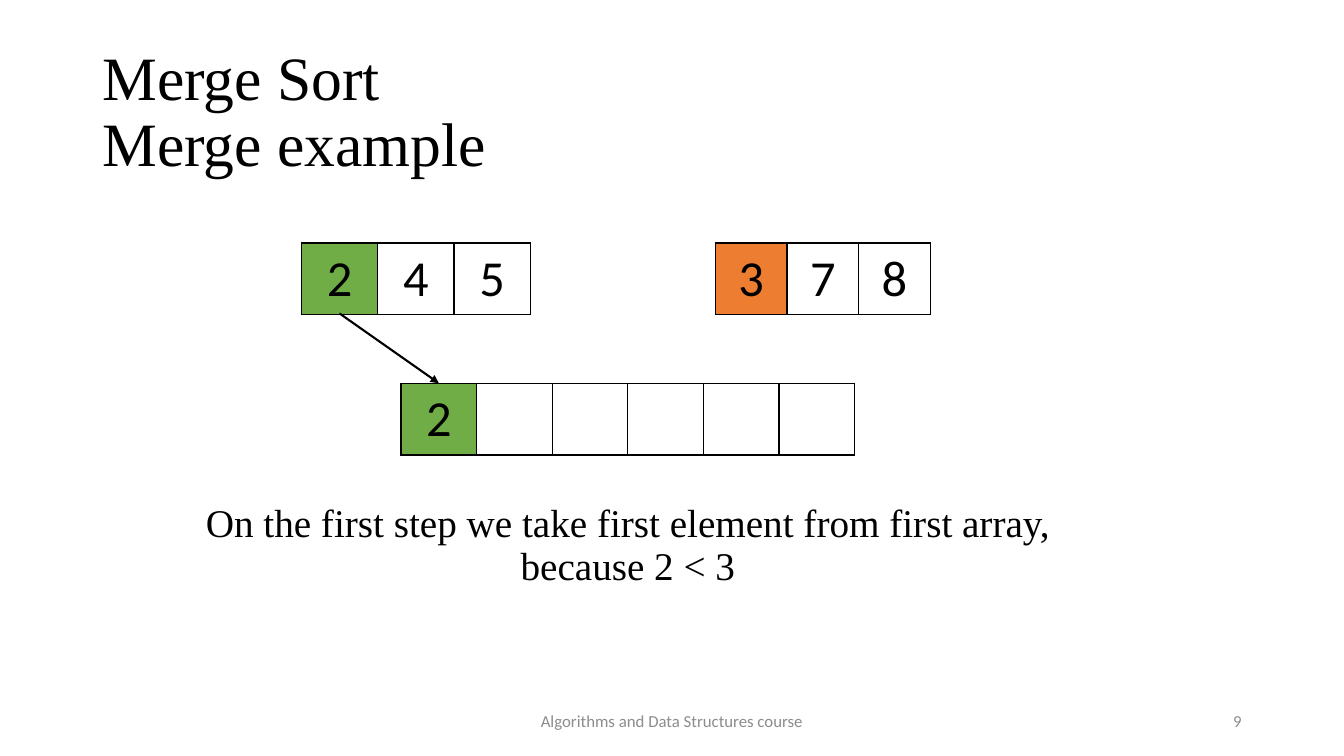
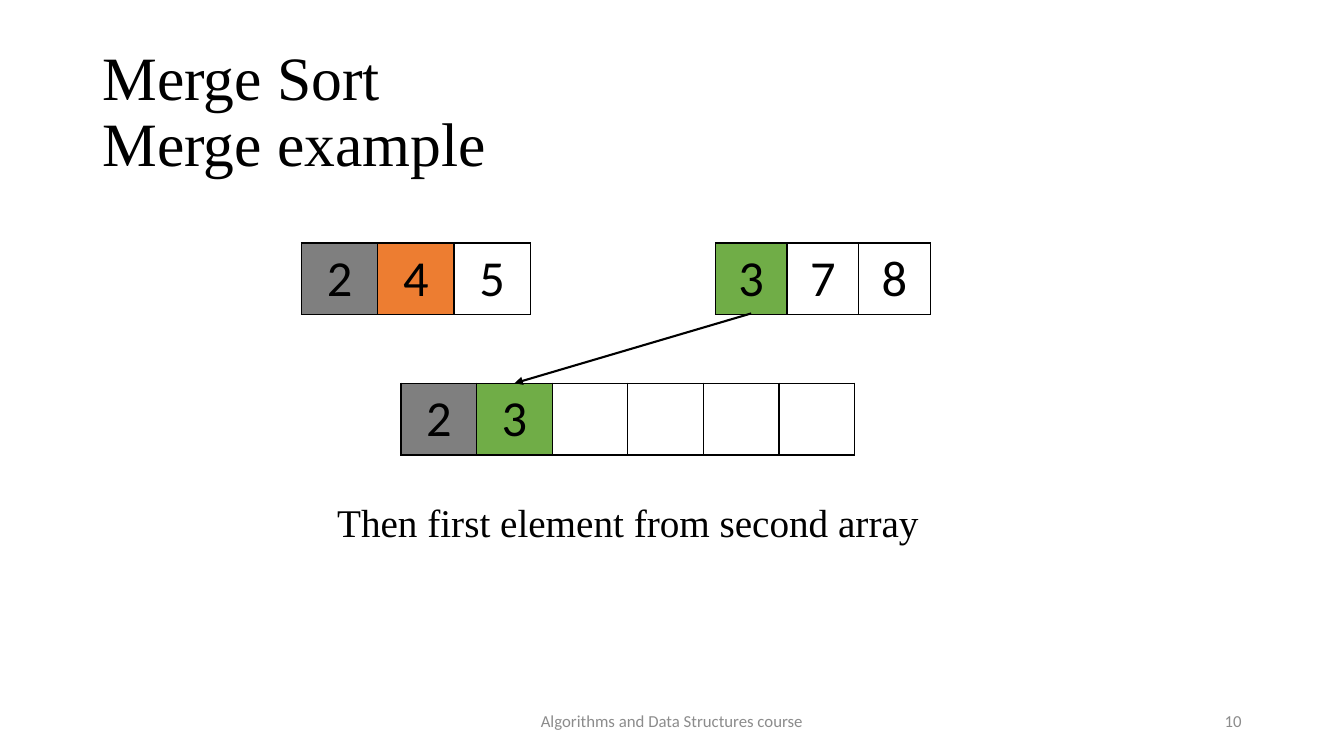
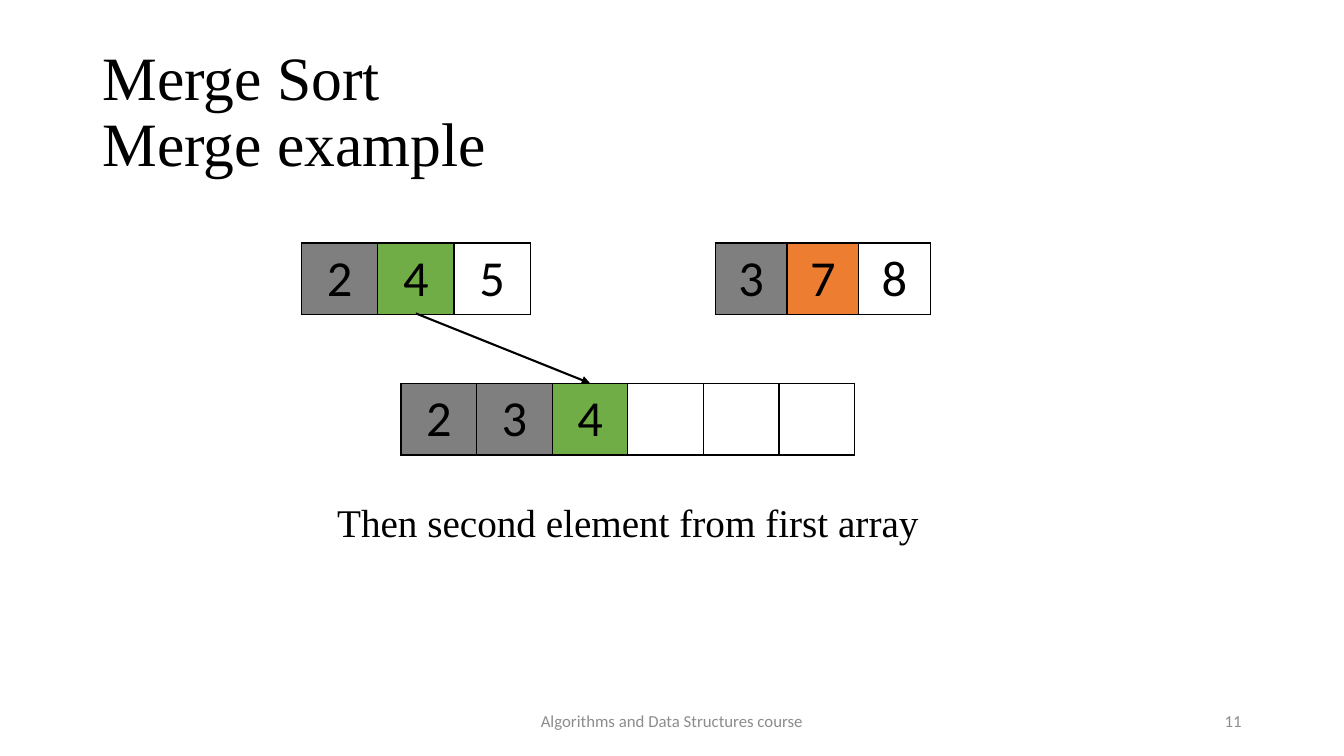
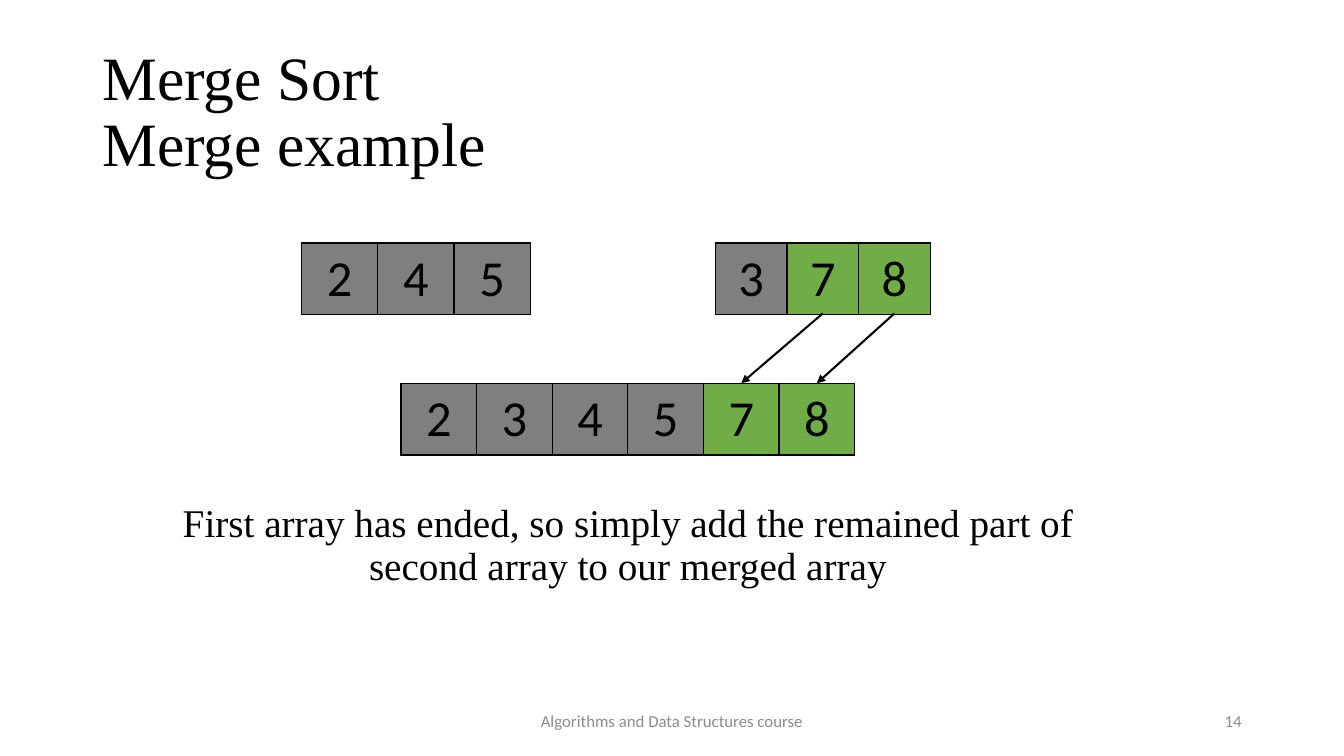
"""Builds four slides that step through merging two sorted arrays."""
from dataclasses import dataclass

from lxml import etree
from pptx import Presentation
from pptx.dml.color import RGBColor
from pptx.enum.shapes import MSO_CONNECTOR
from pptx.enum.text import MSO_ANCHOR, PP_ALIGN
from pptx.oxml.ns import qn
from pptx.util import Pt

LEFT, CENTER, RIGHT = PP_ALIGN.LEFT, PP_ALIGN.CENTER, PP_ALIGN.RIGHT
TOP, MIDDLE = MSO_ANCHOR.TOP, MSO_ANCHOR.MIDDLE
STRAIGHT = MSO_CONNECTOR.STRAIGHT


@dataclass(frozen=True)
class Theme:
    ink: str = "000000"
    muted: str = "8C8C8C"
    done: str = "7F7F7F"
    taken: str = "70AD47"
    compared: str = "ED7D31"
    serif: str = "Times New Roman"
    sans: str = "Calibri"
    title_size: int = 44
    cell_size: int = 36
    caption_size: int = 28
    footer_size: int = 12
    border_width: float = 1
    arrow_width: float = 1.5


@dataclass(frozen=True)
class Array:
    values: tuple
    left: float
    top: float
    cell_width: float
    cell_height: float = 50.4

    def center(self, value):
        return self.left + (self.values.index(value) + 0.5) * self.cell_width


@dataclass(frozen=True)
class Step:
    page: int
    caption: str
    done: int
    taken: int
    compared: int = 0


FIRST = Array((2, 4, 5), 215.25, 173.5, 54.55)
SECOND = Array((3, 7, 8), 511, 173.5, 51.15)
MERGED = Array(tuple(sorted(FIRST.values + SECOND.values)), 286.5, 273.75, 54)

STEPS = (
    Step(9, "On the first step we take first element from first array, because 2 < 3", 0, 1, 3),
    Step(10, "Then first element from second array", 1, 1, 4),
    Step(11, "Then second element from first array", 2, 1, 7),
    Step(14, "First array has ended, so simply add the remained part of second array to our merged array", 4, 2),
)


class Deck:
    def __init__(self, theme):
        self.theme = theme
        self.presentation = Presentation()
        self.presentation.slide_width = Pt(960)
        self.presentation.slide_height = Pt(540)
        self.slide = None

    def new_slide(self):
        self.slide = self.presentation.slides.add_slide(self.presentation.slide_layouts[6])

    def format_paragraph(self, paragraph, size, font, color, align, spacing=1.0):
        for name, value in {"alignment": align, "line_spacing": spacing}.items():
            setattr(paragraph, name, value)
        for name, value in {"size": Pt(size), "name": font}.items():
            setattr(paragraph.font, name, value)
        paragraph.font.color.rgb = RGBColor.from_string(color)

    def text(self, box, text, anchor, **style):
        shape = self.slide.shapes.add_textbox(*map(Pt, box))
        frame = shape.text_frame
        for name, value in {"word_wrap": True, "vertical_anchor": anchor, "text": text}.items():
            setattr(frame, name, value)
        for paragraph in frame.paragraphs:
            self.format_paragraph(paragraph, **style)

    def title(self, text):
        self.text((66, 28.75, 828, 104.4), text, MIDDLE, size=self.theme.title_size,
                  font=self.theme.serif, color=self.theme.ink, align=LEFT, spacing=0.9)

    def caption(self, text):
        self.text((113, 356.4, 671, 133.2), text, TOP, size=self.theme.caption_size,
                  font=self.theme.serif, color=self.theme.ink, align=CENTER, spacing=0.9)

    def footer(self, text, page):
        style = {"size": self.theme.footer_size, "font": self.theme.sans, "color": self.theme.muted}
        self.text((318, 500.5, 324, 28.75), text, MIDDLE, align=CENTER, **style)
        self.text((678, 500.5, 216, 28.75), str(page), MIDDLE, align=RIGHT, **style)

    def borders(self, cell):
        properties = cell._tc.get_or_add_tcPr()
        for side in ("a:lnL", "a:lnR", "a:lnT", "a:lnB"):
            line = etree.SubElement(properties, qn(side), w=str(Pt(self.theme.border_width)))
            fill = etree.SubElement(line, qn("a:solidFill"))
            etree.SubElement(fill, qn("a:srgbClr"), val=self.theme.ink)

    def array(self, array, fills, shown):
        count = len(array.values)
        box = (array.left, array.top, count * array.cell_width, array.cell_height)
        table = self.slide.shapes.add_table(1, count, *map(Pt, box)).table
        table.first_row = table.horz_banding = False
        for column, value in enumerate(array.values):
            table.columns[column].width = Pt(array.cell_width)
            cell = table.cell(0, column)
            self.borders(cell)
            if value in fills:
                cell.fill.solid()
                cell.fill.fore_color.rgb = RGBColor.from_string(fills[value])
            else:
                cell.fill.background()
            if value in shown:
                cell.text = str(value)
            self.format_paragraph(cell.text_frame.paragraphs[0], self.theme.cell_size,
                                  self.theme.sans, self.theme.ink, CENTER)

    def arrow(self, source, target, value):
        ends = (source.center(value), source.top + source.cell_height,
                target.center(value), target.top)
        connector = self.slide.shapes.add_connector(STRAIGHT, *map(Pt, ends))
        connector.line.width = Pt(self.theme.arrow_width)
        connector.line.color.rgb = RGBColor.from_string(self.theme.ink)
        etree.SubElement(connector.line._get_or_add_ln(), qn("a:tailEnd"), type="triangle")
        etree.SubElement(connector._element.spPr, qn("a:effectLst"))

    def step(self, step):
        merged = MERGED.values[:step.done + step.taken]
        taken = merged[step.done:]
        fills = {value: self.theme.taken if value in taken else self.theme.done for value in merged}
        self.new_slide()
        for source in (FIRST, SECOND):
            self.array(source, {**fills, step.compared: self.theme.compared}, source.values)
        self.array(MERGED, fills, merged)
        self.title("Merge Sort\nMerge example")
        self.caption(step.caption)
        for value in taken:
            self.arrow(FIRST if value in FIRST.values else SECOND, MERGED, value)
        self.footer("Algorithms and Data Structures course", step.page)


def main():
    deck = Deck(Theme())
    for step in STEPS:
        deck.step(step)
    deck.presentation.save("out.pptx")


if __name__ == "__main__":
    main()
